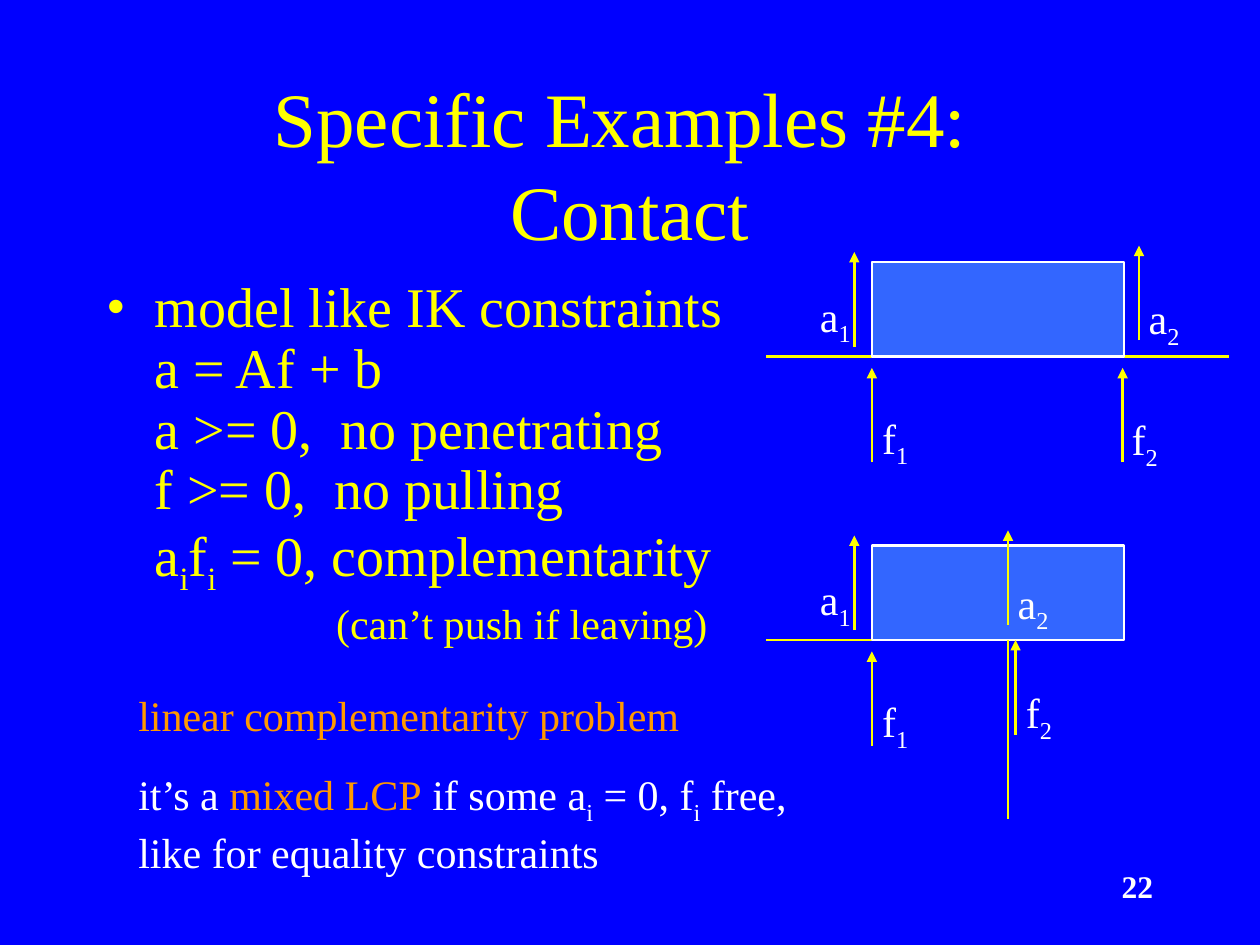
import pptx
import pptx.dml.color
import pptx.enum.shapes
import pptx.enum.text
import pptx.oxml.ns
import pptx.util
from lxml import etree
from pptx.util import Inches

BLUE = pptx.dml.color.RGBColor(0x00, 0x00, 0xFF)
LIGHT_BLUE = pptx.dml.color.RGBColor(0x33, 0x66, 0xFF)
YELLOW = pptx.dml.color.RGBColor(0xFF, 0xFF, 0x00)
ORANGE = pptx.dml.color.RGBColor(0xFF, 0x99, 0x00)
WHITE = pptx.dml.color.RGBColor(0xFF, 0xFF, 0xFF)
MIDDLE = pptx.enum.text.MSO_ANCHOR.MIDDLE
LEFT = pptx.enum.text.PP_ALIGN.LEFT
CENTER = pptx.enum.text.PP_ALIGN.CENTER
RIGHT = pptx.enum.text.PP_ALIGN.RIGHT
FONT = "Times New Roman"
qn = pptx.oxml.ns.qn

presentation = pptx.Presentation()
presentation.slide_width = Inches(10)
presentation.slide_height = Inches(7.5)
slide = presentation.slides.add_slide(presentation.slide_layouts[6])
slide.background.fill.solid()
slide.background.fill.fore_color.rgb = BLUE


def add_text(box, pieces, size, color, anchor=MIDDLE, align=LEFT, wrap=True):
    """Add a text box; a piece "_x" is a subscript, "\\n" a line break."""
    frame = slide.shapes.add_textbox(*map(Inches, box)).text_frame
    frame.word_wrap = wrap
    if not wrap:
        frame.auto_size = pptx.enum.text.MSO_AUTO_SIZE.SHAPE_TO_FIT_TEXT
    frame.vertical_anchor = anchor
    paragraph = frame.paragraphs[0]
    paragraph.alignment = align
    for piece in pieces:
        if piece == "\n":
            paragraph.add_line_break()
            continue
        run = paragraph.add_run()
        run.text = piece.removeprefix("_")
        run.font.name = FONT
        run.font.size = pptx.util.Pt(size)
        run.font.color.rgb = color
        if piece.startswith("_"):
            run.font._element.set("baseline", "-25000")
    return frame


def add_line(x1, y1, x2, y2, arrow=False):
    line = slide.shapes.add_connector(
        pptx.enum.shapes.MSO_CONNECTOR.STRAIGHT, *map(Inches, (x1, y1, x2, y2)))
    line.line.color.rgb = YELLOW
    line.line.width = pptx.util.Pt(1.5)
    if arrow:
        etree.SubElement(line.line._get_or_add_ln(), qn("a:tailEnd"), type="triangle")
    etree.SubElement(line._element.spPr, qn("a:effectLst"))


# Slide number and title
number = add_text((7.17, 6.83, 2.08, 0.5), ["22"], 18, WHITE,
                  pptx.enum.text.MSO_ANCHOR.TOP, RIGHT)
number.paragraphs[0].runs[0].font.bold = True
add_text((0.75, 0.67, 8.5, 1.25), ["Specific Examples #4: ", "\n", "Contact"],
         44, YELLOW, align=CENTER)

# Bulleted model equations
body = add_text(
    (0.75, 2.17, 8.5, 4.5),
    ["model like IK constraints", "\n", "a = Af + b", "\n",
     "a >= 0,  no penetrating", "\n", "f >= 0,  no pulling", "\n",
     "a", "_i", "f", "_i", " = 0, complementarity"],
    32, YELLOW, pptx.enum.text.MSO_ANCHOR.TOP)
equations = body.paragraphs[0]
equations.line_spacing = 0.9
properties = equations._p.get_or_add_pPr()
properties.set("marL", str(Inches(0.38)))
properties.set("indent", str(Inches(-0.38)))
etree.SubElement(properties, qn("a:buFont"), typeface=FONT)
etree.SubElement(properties, qn("a:buChar"), char="•")

# Remark indented below the last equation
remark = body.add_paragraph()
remark.text = "(can’t push if leaving)"
remark.line_spacing = 0.9
remark.space_before = pptx.util.Pt(7)
remark._p.get_or_add_pPr().set("marL", str(Inches(1.82)))
remark_font = remark.runs[0].font
remark_font.name = FONT
remark_font.size = pptx.util.Pt(24)
remark_font.color.rgb = YELLOW

# Contact diagrams: ground end, box top, arrows (x, bottom), labels (x, top)
diagrams = [
    (9.75, 2.08,
     [(6.92, 3.67), (8.91, 3.67), (6.78, 2.75), (9.04, 2.7)],
     [("f", "1", 6.9, 3.22), ("f", "2", 8.88, 3.23),
      ("a", "1", 6.4, 2.25), ("a", "2", 9.01, 2.27)]),
    (7.99, 4.33,
     [(6.92, 5.92), (8.06, 5.83), (6.78, 5), (8, 4.96)],
     [("f", "1", 6.9, 5.47), ("f", "2", 8.04, 5.4),
      ("a", "1", 6.4, 4.5), ("a", "2", 7.97, 4.53)]),
]
for ground_end, box_top, arrows, labels in diagrams:
    add_line(6.08, box_top + 0.75, ground_end, box_top + 0.75)
    block = slide.shapes.add_shape(
        pptx.enum.shapes.MSO_SHAPE.RECTANGLE,
        Inches(6.92), Inches(box_top), Inches(2), Inches(0.75))
    block.shadow.inherit = False
    block.fill.solid()
    block.fill.fore_color.rgb = LIGHT_BLUE
    block.line.color.rgb = WHITE
    block.line.width = pptx.util.Pt(1.5)
    for x, bottom in arrows:
        add_line(x, bottom, x, bottom - 0.75, arrow=True)
    for letter, index, x, top in labels:
        width = 0.41 if letter == "f" else 0.46
        add_text((x, top, width, 0.56), [letter, "_" + index], 24, WHITE,
                 align=CENTER, wrap=False)

# Edge of the ground under the second box
add_line(8, 5.08, 8, 6.5)

# Closing notes
add_text((1, 5.42, 4.6, 0.5), ["linear complementarity problem"], 24, ORANGE)
note = add_text(
    (1, 6.05, 5.5, 0.96),
    ["it’s a ", "mixed LCP", " if some a", "_i", " = 0, f", "_i",
     " free, like for equality constraints"], 24, WHITE)
note.paragraphs[0].runs[1].font.color.rgb = ORANGE

presentation.save("out.pptx")
